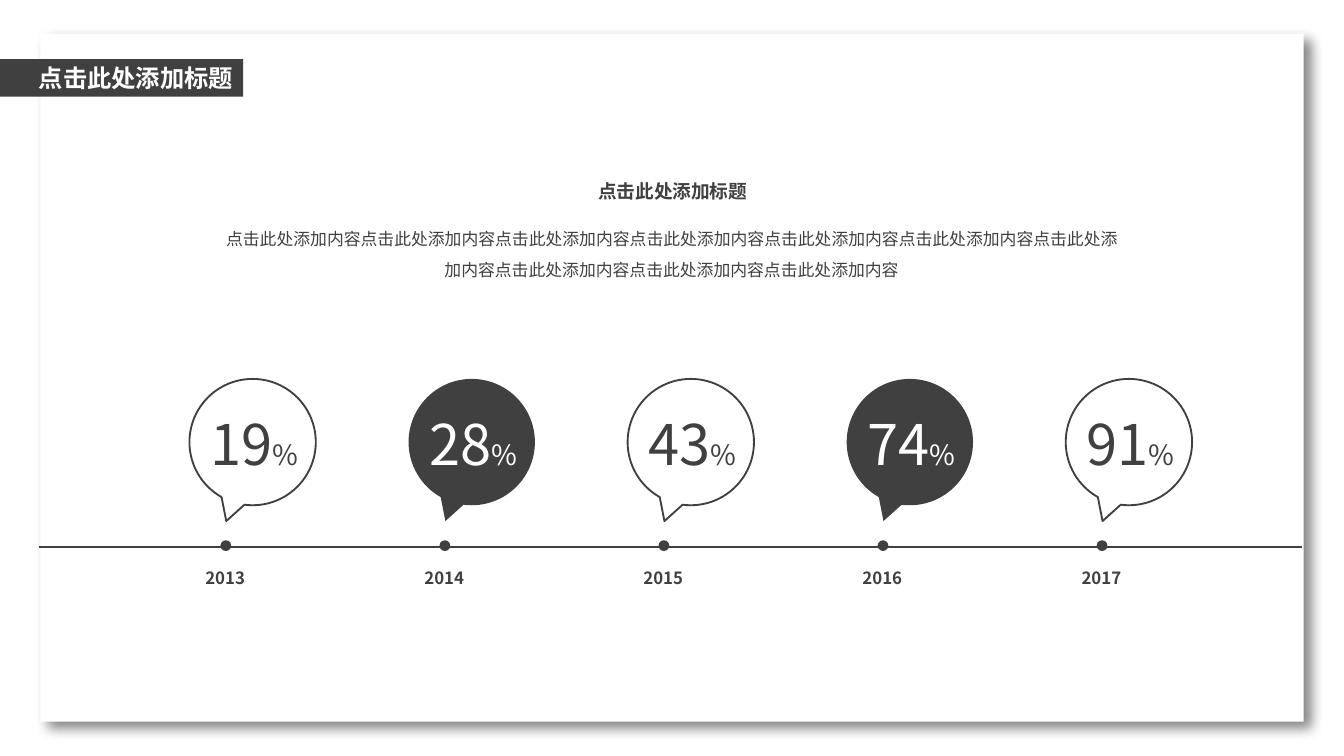
from lxml import etree
from pptx import Presentation
from pptx.dml.color import RGBColor
from pptx.enum import shapes, text
from pptx.oxml import ns
from pptx.util import Inches, Pt

HEADING = "点击此处添加标题"
SUBTITLE = "点击此处添加标题"
BODY = "点击此处添加内容" * 10
MILESTONES = [("2013", "19"), ("2014", "28"), ("2015", "43"), ("2016", "74"), ("2017", "91")]

THEME = {
    "font": "Noto Sans CJK SC",
    "dark": RGBColor(0x40, 0x40, 0x40),
    "light": RGBColor(0xFF, 0xFF, 0xFF),
    "heading": 13, "subtitle": 10, "body": 9, "year": 9, "number": 30, "percent": 15,
}
DARK, LIGHT = THEME["dark"], THEME["light"]
SLIDE_WIDTH = 10
SLIDE_HEIGHT = SLIDE_WIDTH * 9 / 16
PITCH = 1.63
CALLOUT_LEFT, PERCENT_LEFT, DOT_LEFT, YEAR_LEFT = 1.41, 1.38, 1.64, 1.44

presentation = Presentation()
presentation.slide_width = Inches(SLIDE_WIDTH)
presentation.slide_height = Inches(SLIDE_HEIGHT)
slide = presentation.slides.add_slide(presentation.slide_layouts[6])


def add_preset(preset, left, top, width, height, fill=None, line=None):
    shape = slide.shapes.add_shape(preset, Inches(left), Inches(top), Inches(width), Inches(height))
    shape.shadow.inherit = False
    if fill is None:
        shape.fill.background()
    else:
        shape.fill.solid()
        shape.fill.fore_color.rgb = fill
    if line is None:
        shape.line.fill.background()
    else:
        shape.line.color.rgb = line
        shape.line.width = Pt(1)
    return shape


def add_text(runs, left, top, width, height, color=DARK, bold=False,
             align=text.PP_ALIGN.CENTER, spacing=None):
    """Add one paragraph; runs is a list of (words, point size)."""
    box = slide.shapes.add_textbox(Inches(left), Inches(top), Inches(width), Inches(height))
    frame = box.text_frame
    frame.word_wrap = True
    frame.vertical_anchor = text.MSO_ANCHOR.MIDDLE
    frame.margin_left = frame.margin_right = frame.margin_top = frame.margin_bottom = 0
    paragraph = frame.paragraphs[0]
    paragraph.alignment = align
    if spacing:
        paragraph.line_spacing = spacing
    for words, size in runs:
        run = paragraph.add_run()
        run.text = words
        run.font.name = THEME["font"]
        run.font.size = Pt(size)
        run.font.bold = bold
        run.font.color.rgb = color
        east_asian = etree.SubElement(run.font._element, ns.qn("a:ea"))
        east_asian.set("typeface", THEME["font"])


def add_card_shadow(card):
    effects = card._element.spPr.find(ns.qn("a:effectLst"))
    shadow = etree.SubElement(effects, ns.qn("a:outerShdw"), blurRad=str(Pt(7)),
                              dist=str(Pt(6)), dir=str(40 * 60000), algn="tl", rotWithShape="0")
    black = etree.SubElement(shadow, ns.qn("a:srgbClr"), val="000000")
    etree.SubElement(black, ns.qn("a:alpha"), val="47000")


SHAPE = shapes.MSO_SHAPE
add_card_shadow(add_preset(SHAPE.RECTANGLE, 0.3, 0.25, 9.4, 5.12, fill=LIGHT))

add_preset(SHAPE.RECTANGLE, 0, 0.44, 1.81, 0.28, fill=DARK)
add_text([(HEADING, THEME["heading"])], 0.29, 0.47, 1.48, 0.22,
         color=LIGHT, bold=True, align=text.PP_ALIGN.LEFT)

timeline = slide.shapes.add_connector(shapes.MSO_CONNECTOR.STRAIGHT, Inches(0.29), Inches(4.07),
                                      Inches(9.69), Inches(4.07))
timeline.line.color.rgb = DARK
timeline.line.width = Pt(1)
etree.SubElement(timeline._element.spPr, ns.qn("a:effectLst"))

for index, (year, number) in enumerate(MILESTONES):
    offset = index * PITCH
    filled = index % 2 == 1
    callout_style = {"fill": DARK} if filled else {"line": DARK}
    add_preset(SHAPE.OVAL_CALLOUT, CALLOUT_LEFT + offset, 2.82, 0.94, 0.94, **callout_style)
    add_text([(number, THEME["number"]), ("%", THEME["percent"])],
             PERCENT_LEFT + offset, 3.09, 1.02, 0.41, color=LIGHT if filled else DARK)
    add_preset(SHAPE.OVAL, DOT_LEFT + offset, 4.02, 0.08, 0.08, fill=DARK)
    add_text([(year, THEME["year"])], YEAR_LEFT + offset, 4.22, 0.47, 0.16, bold=True)

add_text([(SUBTITLE, THEME["subtitle"])], 3.98, 1.34, 2.05, 0.17, bold=True)
add_text([(BODY, THEME["body"])], 1.63, 1.63, 6.73, 0.45, spacing=1.5)

presentation.save("out.pptx")
